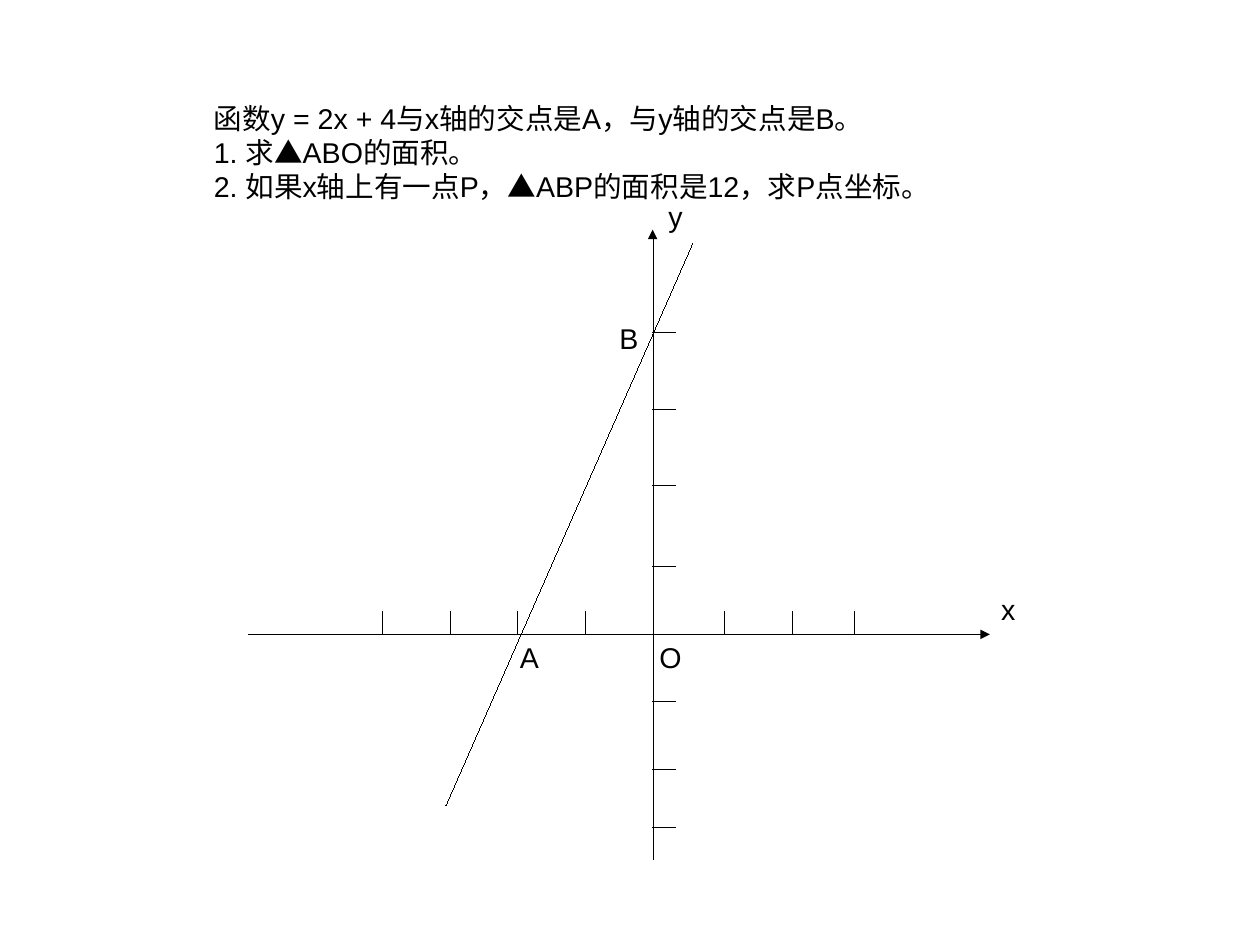
import pptx
import pptx.dml.color
import pptx.enum.shapes
import pptx.enum.text
import pptx.oxml
import pptx.oxml.ns
import pptx.util

Inches = pptx.util.Inches
BLACK = pptx.dml.color.RGBColor(0x00, 0x00, 0x00)
NS = pptx.oxml.ns.nsdecls("a")

QUESTION = "函数y = 2x + 4与x轴的交点是A，与y轴的交点是B。"
TASKS = ["1. 求▲ABO的面积。",
         "2. 如果x轴上有一点P，▲ABP的面积是12，求P点坐标。"]

# Inches from the origin of the graph, y growing downwards
X_TICKS = [-2.36, -1.77, -1.18, -0.59, 0.63, 1.22, 1.77]
Y_TICKS = [-2.64, -1.97, -1.3, -0.59, 0.59, 1.18, 1.69]
TICK_LENGTH = 0.2
LABELS = [("x", 2.95, -0.42, 0.32), ("y", 0.04, -3.86, 0.32),
          ("O", -0.04, 0, 0.39), ("A", -1.26, 0, 0.36),
          ("B", -0.39, -2.79, 0.36)]


def format_text(tf):
    for p in tf.paragraphs:
        p.alignment = pptx.enum.text.PP_ALIGN.LEFT
        for r in p.runs:
            r.font.name = "Arial"
            r.font.size = pptx.util.Pt(18)
            r.font.color.rgb = BLACK


def fill_placeholder(sp, lines, left, top, width, height):
    sp.left, sp.top = Inches(left), Inches(top)
    sp.width, sp.height = Inches(width), Inches(height)
    tf = sp.text_frame
    tf.text = "\n".join(lines)
    tf.word_wrap = True
    tf.auto_size = pptx.enum.text.MSO_AUTO_SIZE.NONE
    tf.vertical_anchor = pptx.enum.text.MSO_ANCHOR.TOP
    for p in tf.paragraphs:
        pPr = p._p.get_or_add_pPr()
        pPr.set("marL", "0")
        pPr.set("indent", "0")
        pPr.append(pptx.oxml.parse_xml(f"<a:buNone {NS}/>"))
        p.space_before = pptx.util.Pt(0)
    format_text(tf)


def add_problem(slide, left, top, width):
    line_height = 0.3
    fill_placeholder(slide.shapes.title, [QUESTION],
                     left, top, width, line_height + 0.1)
    fill_placeholder(slide.placeholders[1], TASKS, left, top + line_height,
                     width, len(TASKS) * line_height + 0.1)


def add_line(slide, x1, y1, x2, y2, arrow=False):
    """Add a hairline, its width written out so that no theme style applies."""
    line = slide.shapes.add_connector(
        pptx.enum.shapes.MSO_CONNECTOR.STRAIGHT,
        Inches(x1), Inches(y1), Inches(x2), Inches(y2))
    line.line.color.rgb = BLACK
    ln = line._element.spPr.find(pptx.oxml.ns.qn("a:ln"))
    ln.set("w", "0")
    if arrow:
        ln.append(pptx.oxml.parse_xml(f'<a:tailEnd {NS} type="triangle"/>'))
    line._element.spPr.append(pptx.oxml.parse_xml(f"<a:effectLst {NS}/>"))
    line._element.remove(line._element.find(pptx.oxml.ns.qn("p:style")))


def add_label(slide, text, left, top, width):
    sp = slide.shapes.add_textbox(Inches(left), Inches(top),
                                  Inches(width), Inches(0.38))
    tf = sp.text_frame
    tf.text = text
    tf.word_wrap = False
    format_text(tf)


def add_graph(slide, left, top, width, height):
    """Draw the axes, ticks, function line and point labels in the box."""
    x0, y0 = left + 3.54, top + 3.54
    add_line(slide, x0, top + height, x0, top, arrow=True)
    add_line(slide, left, y0, left + width, y0, arrow=True)
    for dy in Y_TICKS:
        add_line(slide, x0, y0 + dy, x0 + TICK_LENGTH, y0 + dy)
    for dx in X_TICKS:
        add_line(slide, x0 + dx, y0, x0 + dx, y0 - TICK_LENGTH)
    add_line(slide, x0 + 0.35, y0 - 3.42, x0 - 1.81, y0 + 1.5)
    for text, dx, dy, label_width in LABELS:
        add_label(slide, text, x0 + dx, y0 + dy, label_width)


def main():
    prs = pptx.Presentation()
    prs.slide_width, prs.slide_height = pptx.util.Cm(28), pptx.util.Cm(21)
    prs.element.sldSz.attrib.pop("type", None)
    slide = prs.slides.add_slide(prs.slide_layouts[1])
    add_problem(slide, 1.77, 0.83, 8.24)
    add_graph(slide, 2.17, 2.01, 6.49, 5.51)
    prs.save("out.pptx")


if __name__ == "__main__":
    main()
